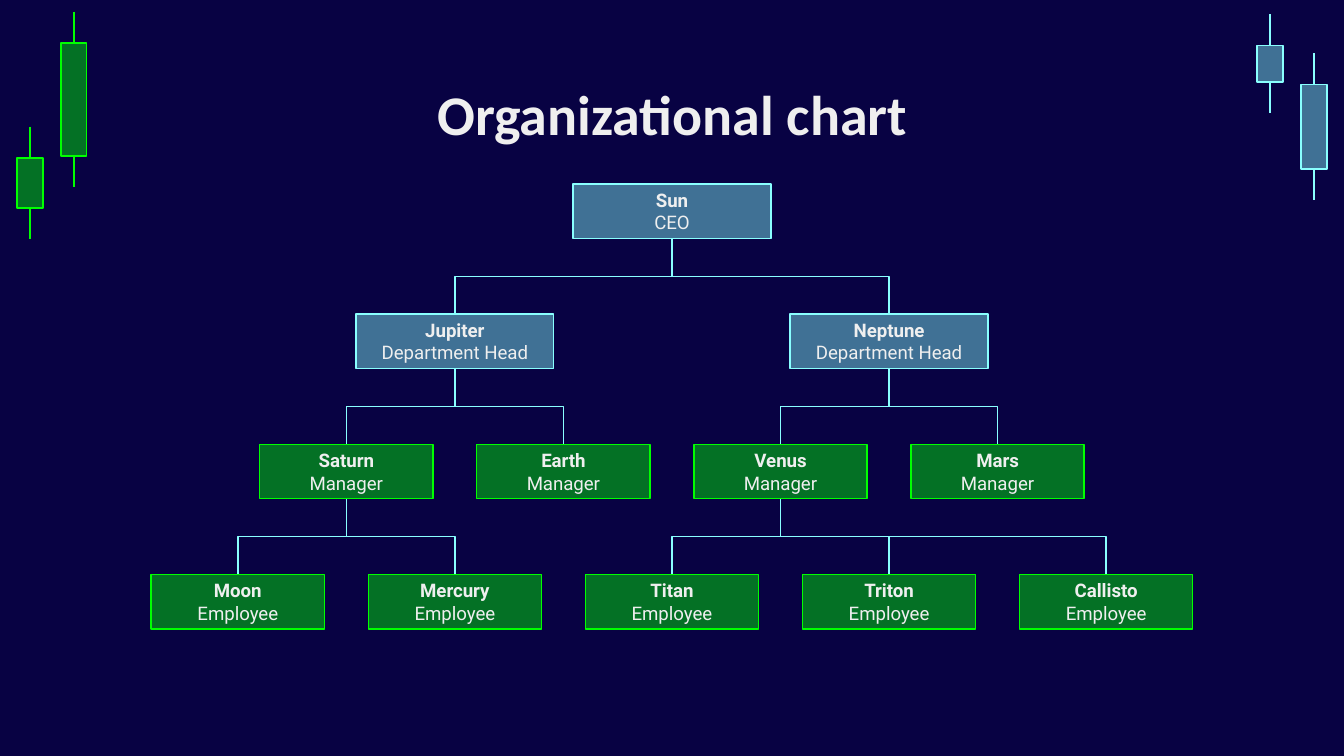
"""Build an organizational chart slide framed by candlestick decorations."""
import dataclasses
import typing

import lxml.etree
import pptx
import pptx.dml.color
import pptx.enum.shapes
import pptx.enum.text
import pptx.oxml.ns
import pptx.util

Pt = pptx.util.Pt
RGBColor = pptx.dml.color.RGBColor
qn = pptx.oxml.ns.qn
CONNECTOR = pptx.enum.shapes.MSO_CONNECTOR

NAVY = RGBColor(0x08, 0x02, 0x43)
CYAN = RGBColor(0x89, 0xFF, 0xFF)
GREEN = RGBColor(0x00, 0xFF, 0x00)
WHITE = RGBColor(0xEF, 0xEF, 0xEF)

CENTER_X = 360
COLUMN_PITCH = 116.3
FIRST_ROW = 98.5
ROW_PITCH = 69.75
BOX_HEIGHT = 29.2
CANDLE_WIDTH = 13.7
WICK = 16.8


@dataclasses.dataclass(frozen=True)
class Candle:
    """A candlestick body, given by its centre line and vertical extent."""

    x: float
    top: float
    bottom: float
    color: RGBColor


@dataclasses.dataclass(frozen=True)
class Person:
    """A chart box; column counts pitches from the slide centre."""

    name: str
    role: str
    row: int
    column: float
    boss: typing.Optional["Person"] = None

    @property
    def x(self) -> float:
        return CENTER_X + self.column * COLUMN_PITCH

    @property
    def top(self) -> float:
        return FIRST_ROW + self.row * ROW_PITCH

    @property
    def color(self) -> RGBColor:
        return CYAN if self.row < 2 else GREEN

    @property
    def width(self) -> float:
        return 106 if self.row < 2 else 92.8


CANDLES = [
    Candle(680.4, 24.4, 44, CYAN),
    Candle(703.9, 45.3, 90.6, CYAN),
    Candle(16, 84.7, 111.4, GREEN),
    Candle(39.5, 23, 83.5, GREEN),
]

SUN = Person("Sun", "CEO", 0, 0)
JUPITER = Person("Jupiter", "Department Head", 1, -1, SUN)
NEPTUNE = Person("Neptune", "Department Head", 1, 1, SUN)
SATURN = Person("Saturn", "Manager", 2, -1.5, JUPITER)
VENUS = Person("Venus", "Manager", 2, 0.5, NEPTUNE)
PEOPLE = [
    SUN,
    JUPITER,
    NEPTUNE,
    SATURN,
    Person("Earth", "Manager", 2, -0.5, JUPITER),
    VENUS,
    Person("Mars", "Manager", 2, 1.5, NEPTUNE),
    Person("Moon", "Employee", 3, -2, SATURN),
    Person("Mercury", "Employee", 3, -1, SATURN),
    Person("Titan", "Employee", 3, 0, VENUS),
    Person("Triton", "Employee", 3, 1, VENUS),
    Person("Callisto", "Employee", 3, 2, VENUS),
]


def add_line(s, kind, x1: float, y1: float, x2: float, y2: float, color: RGBColor, weight: float):
    """Add a connector without a shadow."""
    line = s.shapes.add_connector(kind, Pt(x1), Pt(y1), Pt(x2), Pt(y2))
    line.line.color.rgb = color
    line.line.width = Pt(weight)
    lxml.etree.SubElement(line._element.spPr, qn("a:effectLst"))
    return line


def add_panel(s, x: float, top: float, width: float, height: float, color: RGBColor, weight: float):
    """Add a translucent outlined rectangle centred on x."""
    sp = s.shapes.add_shape(
        pptx.enum.shapes.MSO_SHAPE.RECTANGLE, Pt(x - width / 2), Pt(top), Pt(width), Pt(height)
    )
    sp.shadow.inherit = False
    sp.fill.solid()
    sp.fill.fore_color.rgb = color
    srgb = sp._element.spPr.find(qn("a:solidFill")).find(qn("a:srgbClr"))
    lxml.etree.SubElement(srgb, qn("a:alpha")).set("val", "44000")
    sp.line.color.rgb = color
    sp.line.width = Pt(weight)
    return sp


def format_text(p, font: str, size: float, bold: bool) -> None:
    """Centre a paragraph and style its runs."""
    p.alignment = pptx.enum.text.PP_ALIGN.CENTER
    for r in p.runs:
        r.font.name = font
        r.font.size = Pt(size)
        r.font.bold = bold
        r.font.color.rgb = WHITE


def set_margins(tf) -> None:
    """Wrap the text and give the frame equal margins."""
    tf.word_wrap = True
    tf.margin_left = tf.margin_right = tf.margin_top = tf.margin_bottom = Pt(7.2)


def draw_candle(s, candle: Candle) -> None:
    """Draw a candlestick body with a wick at each end."""
    x, top, bottom, color = candle.x, candle.top, candle.bottom, candle.color
    add_panel(s, x, top, CANDLE_WIDTH, bottom - top, color, 1)
    for y in (top - WICK, bottom):
        add_line(s, CONNECTOR.STRAIGHT, x, y, x, y + WICK, color, 1)


def draw_title(s, text: str) -> None:
    """Draw the slide title."""
    tf = s.shapes.add_textbox(Pt(56.7), Pt(35.5), Pt(607), Pt(45)).text_frame
    set_margins(tf)
    tf.text = text
    format_text(tf.paragraphs[0], "Calibri", 30, True)


def draw_link(s, person: Person, boss: Person) -> None:
    """Draw an elbow from the boss's box down to the person's box."""
    start = boss.top + BOX_HEIGHT
    x, y = (boss.x + person.x) / 2, (start + person.top) / 2
    drop, shift = (person.top - start) / 2, (boss.x - person.x) / 2
    link = add_line(s, CONNECTOR.ELBOW, x - drop, y - shift, x + drop, y + shift, CYAN, 0.75)
    link._element.spPr.find(qn("a:xfrm")).set("rot", "5400000")


def draw_person(s, person: Person) -> None:
    """Draw a box holding a name and a role."""
    sp = add_panel(s, person.x, person.top, person.width, BOX_HEIGHT, person.color, 0.75)
    tf = sp.text_frame
    set_margins(tf)
    tf.vertical_anchor = pptx.enum.text.MSO_ANCHOR.MIDDLE
    tf.text = f"{person.name}\n{person.role}"
    for p, bold in zip(tf.paragraphs, (True, False)):
        format_text(p, "Roboto", 10, bold)


def main() -> None:
    """Build and save the presentation."""
    prs = pptx.Presentation()
    prs.slide_width, prs.slide_height = Pt(720), Pt(405)
    s = prs.slides.add_slide(prs.slide_layouts[6])
    s.background.fill.solid()
    s.background.fill.fore_color.rgb = NAVY
    for candle in CANDLES:
        draw_candle(s, candle)
    draw_title(s, "Organizational chart")
    for person in PEOPLE:
        if person.boss:
            draw_link(s, person, person.boss)
    for person in PEOPLE:
        draw_person(s, person)
    prs.save("out.pptx")


if __name__ == "__main__":
    main()
